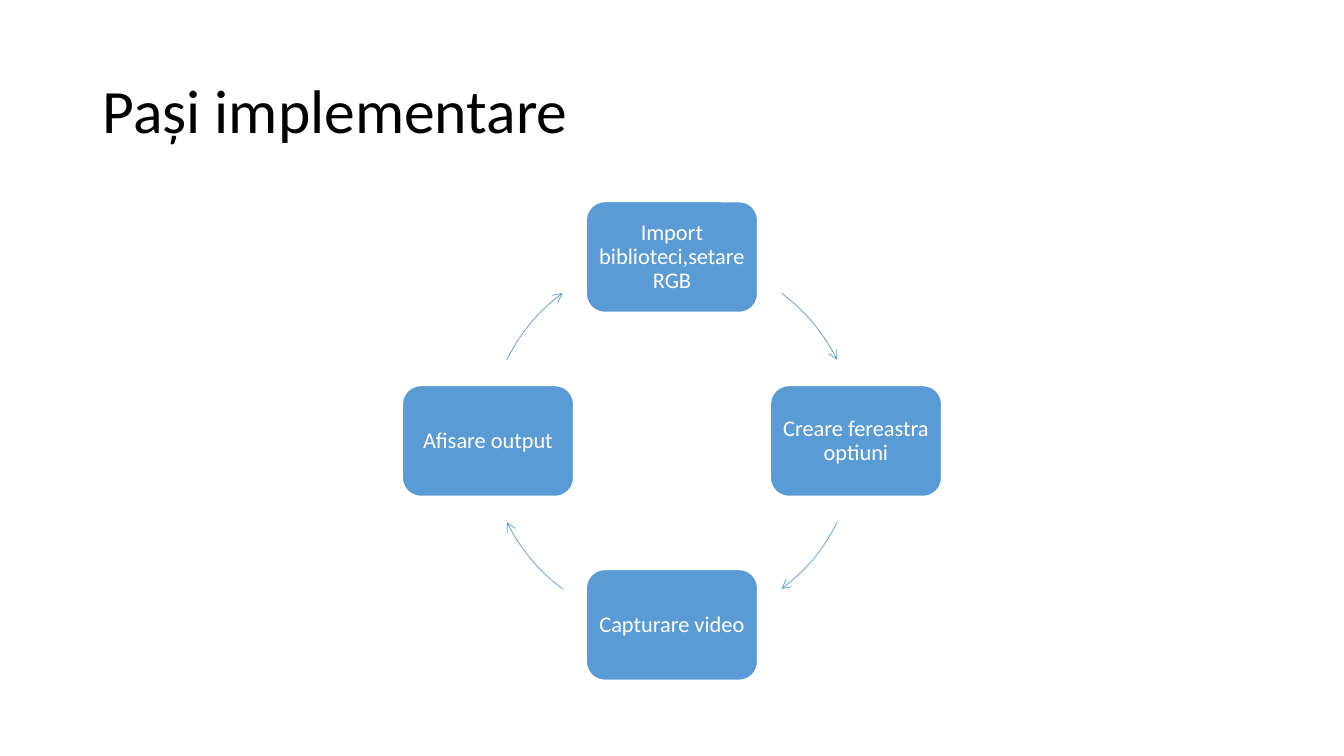
import math

import pptx
import pptx.dml.color
import pptx.enum.shapes
import pptx.enum.text
import pptx.oxml
import pptx.oxml.ns
import pptx.util

Inches = pptx.util.Inches
Pt = pptx.util.Pt
Shapes = pptx.enum.shapes.MSO_SHAPE

BLACK = pptx.dml.color.RGBColor(0x00, 0x00, 0x00)
WHITE = pptx.dml.color.RGBColor(0xFF, 0xFF, 0xFF)
BLUE = pptx.dml.color.RGBColor(0x5B, 0x9B, 0xD5)
FONT = "Calibri"

STEPS = [
    "Import biblioteci,setare RGB",
    "Creare fereastra optiuni",
    "Capturare video",
    "Afisare output",
]
STEP_WIDTH, STEP_HEIGHT = 1.7, 1.1
# Arrow middles (degrees clockwise from the right) and half of their sweep
ARROW_ANGLES = [-39.85, 39.85, 140.15, 219.85]
ARROW_HALF_SWEEP = 13.65


def write_text(shape, text, size, color, alignment):
    frame = shape.text_frame
    frame.word_wrap = True
    frame.vertical_anchor = pptx.enum.text.MSO_ANCHOR.MIDDLE
    paragraph = frame.paragraphs[0]
    paragraph.alignment = alignment
    paragraph.line_spacing = 0.9
    run = paragraph.add_run()
    run.text = text
    run.font.name = FONT
    run.font.size = Pt(size)
    run.font.color.rgb = color


def add_title(slide, left, top, width, height):
    box = slide.shapes.add_textbox(
        Inches(left), Inches(top), Inches(width), Inches(height))
    write_text(box, "Pași implementare", 44, BLACK, pptx.enum.text.PP_ALIGN.LEFT)


def add_step(slide, center_x, center_y, text):
    step = slide.shapes.add_shape(
        Shapes.ROUNDED_RECTANGLE,
        Inches(center_x - STEP_WIDTH / 2), Inches(center_y - STEP_HEIGHT / 2),
        Inches(STEP_WIDTH), Inches(STEP_HEIGHT))
    step.shadow.inherit = False
    step.fill.solid()
    step.fill.fore_color.rgb = BLUE
    step.line.color.rgb = WHITE
    step.line.width = Pt(1)
    frame = step.text_frame
    frame.margin_left = frame.margin_right = Inches(0.07)
    frame.margin_top = frame.margin_bottom = Inches(0.07)
    write_text(step, text, 16, WHITE, pptx.enum.text.PP_ALIGN.CENTER)


def add_arc_arrow(slide, left, top, diameter, angle):
    arc = slide.shapes.add_shape(
        Shapes.ARC, Inches(left), Inches(top), Inches(diameter), Inches(diameter))
    # Angles are stored in 1/60000 degree, adjustments in 1/100000
    arc.adjustments[0] = (angle - ARROW_HALF_SWEEP) % 360 * 0.6
    arc.adjustments[1] = (angle + ARROW_HALF_SWEEP) % 360 * 0.6
    arc.shadow.inherit = False
    arc.fill.background()
    arc.line.color.rgb = BLUE
    arc.line.width = Pt(0.5)
    arc.line._get_or_add_ln().append(pptx.oxml.parse_xml(
        f'<a:tailEnd {pptx.oxml.ns.nsdecls("a")} type="arrow"/>'))


def add_cycle(slide, left, top, diameter):
    """Steps sit clockwise from the top of a circle, arrows between them."""
    radius = diameter / 2
    for index, (text, arrow_angle) in enumerate(zip(STEPS, ARROW_ANGLES)):
        angle = math.radians(90 * index - 90)
        add_step(slide, left + radius * (1 + math.cos(angle)),
                 top + radius * (1 + math.sin(angle)), text)
        add_arc_arrow(slide, left, top, diameter, arrow_angle)


presentation = pptx.Presentation()
presentation.slide_width = Inches(13.33)
presentation.slide_height = Inches(7.5)
slide = presentation.slides.add_slide(presentation.slide_layouts[6])

add_title(slide, 0.92, 0.4, 11.5, 1.45)
add_cycle(slide, 4.84, 2.55, 3.65)

presentation.save("out.pptx")
